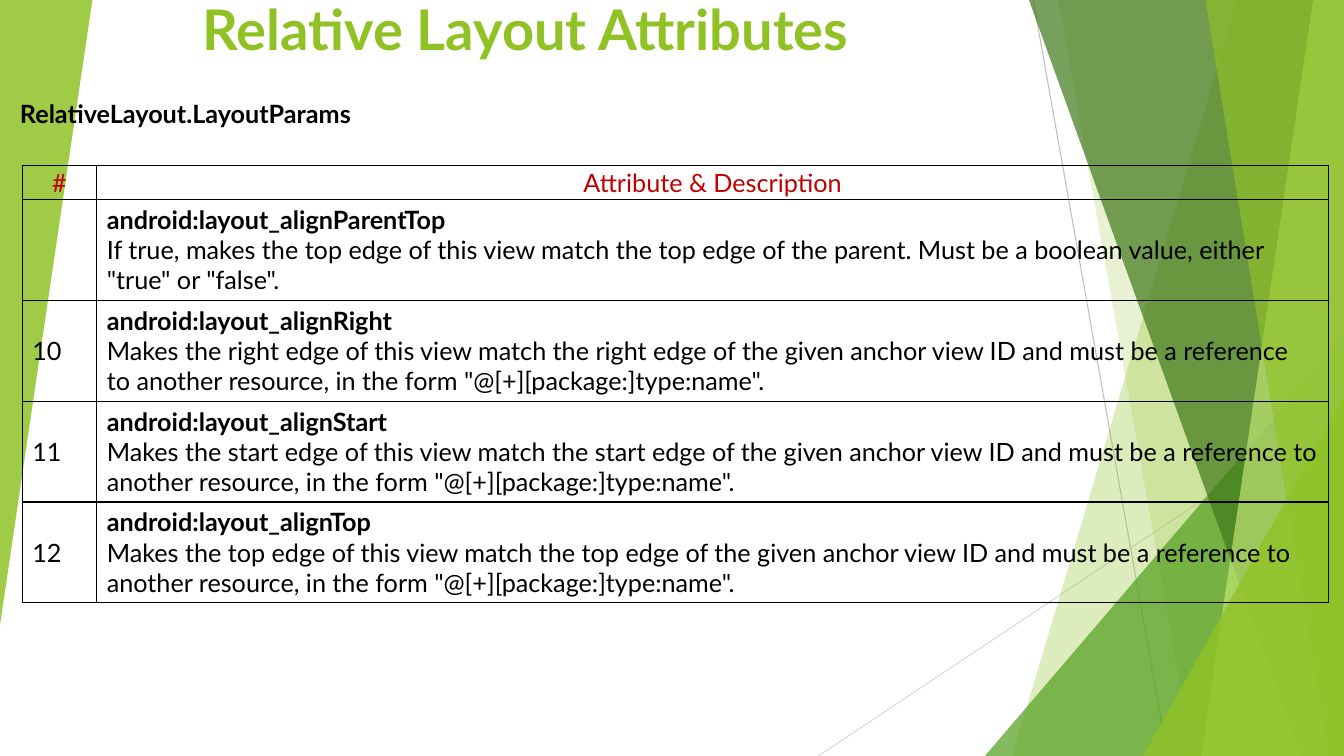
from dataclasses import dataclass

from lxml import etree
from pptx import Presentation, util as u
from pptx.dml import color as dml
from pptx.enum import shapes, text
from pptx.oxml import ns, xmlchemy

Pt = u.Pt
COLORS = {
    "lime": "90C226", "green": "54A021", "forest": "3F7819", "pale": "C0E474",
    "gray": "BFBFBF", "silver": "D9D9D9", "red": "C00000", "black": "000000",
}
WIDTH, HEIGHT = 960, 540
CENTER, LEFT, RIGHT = text.PP_ALIGN.CENTER, text.PP_ALIGN.LEFT, text.PP_ALIGN.RIGHT
MIDDLE, TOP, BOTTOM = text.MSO_ANCHOR.MIDDLE, text.MSO_ANCHOR.TOP, text.MSO_ANCHOR.BOTTOM


@dataclass
class Ray:
    """A thin line behind the bands."""
    start: tuple[float, float]
    end: tuple[float, float]
    color: str


@dataclass
class Band:
    """A full-height panel from a slanted left side to the right slide edge."""
    top_x: float
    bottom_x: float
    color: str
    opacity: int


@dataclass
class Corner:
    """A right triangle; turned ones hang from the top left."""
    left: float
    top: float
    width: float
    height: float
    color: str
    opacity: int
    turn: int = 0


@dataclass
class Attribute:
    """One row of the attribute table."""
    number: str
    name: str
    description: str


def anchor_rule(edge: str, ending: str) -> str:
    """Return the description shared by the align-to-anchor attributes."""
    return (f"Makes the {edge} edge of this view match the {edge} edge of the given anchor "
            f"view ID and must be a reference to another resource, in the form {ending}.")


RAYS = [Ray((738, 0), (834, HEIGHT), "gray"), Ray((WIDTH, 290), (584.5, HEIGHT), "silver")]
DECOR = [
    Band(884, 723, "lime", 30),
    Band(756, 852, "lime", 20),
    Corner(703.5, 240, 256.5, 300, "green", 72),
    Band(735, 929.5, "forest", 70),
    Band(938, 858, "pale", 70),
    Band(861, 949, "lime", 65),
    Corner(816.5, 283, 143.5, 257, "lime", 80),
    Corner(0, 0, 66, 446.5, "lime", 85, turn=180),
]
FORM = '"@[+][package:]type:name"'
ATTRIBUTES = [
    Attribute("", "android:layout_alignParentTop",
              "If true, makes the top edge of this view match the top edge of the parent. "
              'Must be a boolean value, either "true" or "false".'),
    Attribute("10", "android:layout_alignRight", anchor_rule("right", FORM)),
    Attribute("11", "android:layout_alignStart", anchor_rule("start", FORM)),
    Attribute("12", "android:layout_alignTop", anchor_rule("top", FORM)),
]


def rgb(name: str) -> dml.RGBColor:
    """Look up a named colour."""
    return dml.RGBColor.from_string(COLORS[name])


def write(frame, *lines: str, size: float = 18, color: str = "black",
          bold: tuple[bool, ...] = (False,), align=LEFT) -> None:
    """Write one paragraph per line, with one bold flag for each."""
    for index, (line, heavy) in enumerate(zip(lines, bold)):
        para = frame.paragraphs[0] if index == 0 else frame.add_paragraph()
        para.alignment = align
        para.font.size = Pt(size)
        span = para.add_run()
        span.text = line
        span.font.name, span.font.size, span.font.bold = "Lato", Pt(size), heavy
        span.font.color.rgb = rgb(color)


def paint(shape, color: str, opacity: int) -> None:
    """Give a shape a see-through fill and no line or shadow."""
    shape.shadow.inherit = False
    shape.line.fill.background()
    shape.fill.solid()
    shape.fill.fore_color.rgb = rgb(color)
    tint = shape.fill._xPr.find(".//" + ns.qn("a:srgbClr"))
    etree.SubElement(tint, ns.qn("a:alpha"), val=str(opacity * 1000))


def draw_ray(page, ray: Ray) -> None:
    """Draw one thin line."""
    ends = [Pt(value) for value in (*ray.start, *ray.end)]
    line = page.shapes.add_connector(shapes.MSO_CONNECTOR.STRAIGHT, *ends)
    line.line.color.rgb = rgb(ray.color)
    line.line.width = Pt(0.75)
    etree.SubElement(line._element.spPr, ns.qn("a:effectLst"))


def draw_band(page, band: Band) -> None:
    """Draw one slanted panel."""
    outline = page.shapes.build_freeform(Pt(band.top_x), 0)
    rest = [(WIDTH, 0), (WIDTH, HEIGHT), (band.bottom_x, HEIGHT)]
    outline.add_line_segments([(Pt(x), Pt(y)) for x, y in rest], close=True)
    paint(outline.convert_to_shape(), band.color, band.opacity)


def draw_corner(page, corner: Corner) -> None:
    """Draw one right triangle."""
    place = [Pt(value) for value in (corner.left, corner.top, corner.width, corner.height)]
    shape = page.shapes.add_shape(shapes.MSO_SHAPE.ISOSCELES_TRIANGLE, *place)
    shape.adjustments[0] = 1
    shape.rotation = corner.turn
    paint(shape, corner.color, corner.opacity)


def add_borders(cell) -> None:
    """Put a black one-point line on each side of a cell."""
    props: xmlchemy.BaseOxmlElement = cell._tc.get_or_add_tcPr()
    for index, side in enumerate(("lnL", "lnR", "lnT", "lnB")):
        edge = etree.Element(ns.qn(f"a:{side}"), w=str(Pt(1)))
        fill = etree.SubElement(edge, ns.qn("a:solidFill"))
        etree.SubElement(fill, ns.qn("a:srgbClr"), val=COLORS["black"])
        props.insert(index, edge)


def draw_table(page, attributes: list[Attribute]) -> None:
    """Draw the header row and one row per attribute."""
    widths, heights = (53.28, 879.84), [24] + [72] * len(attributes)
    table = page.shapes.add_table(len(heights), len(widths), Pt(15.84), Pt(118),
                                  Pt(sum(widths)), Pt(sum(heights))).table
    table.first_row = table.horz_banding = False
    for column, width in zip(table.columns, widths):
        column.width = Pt(width)
    for row, height in zip(table.rows, heights):
        row.height = Pt(height)
    for cell in table.iter_cells():
        cell.fill.background()
        cell.vertical_anchor = MIDDLE
        add_borders(cell)
    for cell, label in zip(table.rows[0].cells, ("#", "Attribute & Description")):
        cell.margin_left = cell.margin_right = Pt(2.88)
        cell.margin_top = cell.margin_bottom = Pt(1.44)
        write(cell.text_frame, label, color="red", align=CENTER)
    for index, item in enumerate(attributes, start=1):
        if item.number:
            write(table.cell(index, 0).text_frame, item.number)
        write(table.cell(index, 1).text_frame, item.name, item.description, bold=(True, False))


def place_text(box, left: float, top: float, width: float, height: float, anchor) -> None:
    """Place a text-bearing shape and set how its text sits."""
    box.left, box.top, box.width, box.height = (Pt(v) for v in (left, top, width, height))
    frame = box.text_frame
    frame.word_wrap, frame.auto_size = True, text.MSO_AUTO_SIZE.NONE
    frame.vertical_anchor = anchor


deck = Presentation()
deck.slide_width, deck.slide_height = Pt(WIDTH), Pt(HEIGHT)
page = deck.slides.add_slide(deck.slide_layouts.get_by_name("Title Only"))

for ray in RAYS:
    draw_ray(page, ray)
for piece in DECOR:
    if isinstance(piece, Band):
        draw_band(page, piece)
    else:
        draw_corner(page, piece)

title = page.shapes.title
page.shapes._spTree.append(title._element)  # bring the title in front of the bands
place_text(title, 7, 6, 606, 41.5, BOTTOM)
write(title.text_frame, "Relative Layout Attributes", size=40, color="lime",
      bold=(True,), align=RIGHT)

subtitle = page.shapes.add_textbox(0, 0, 0, 0)
place_text(subtitle, 7.2, 67, 897, 29, TOP)
write(subtitle.text_frame, "RelativeLayout.LayoutParams", bold=(True,))

draw_table(page, ATTRIBUTES)
deck.save("out.pptx")
